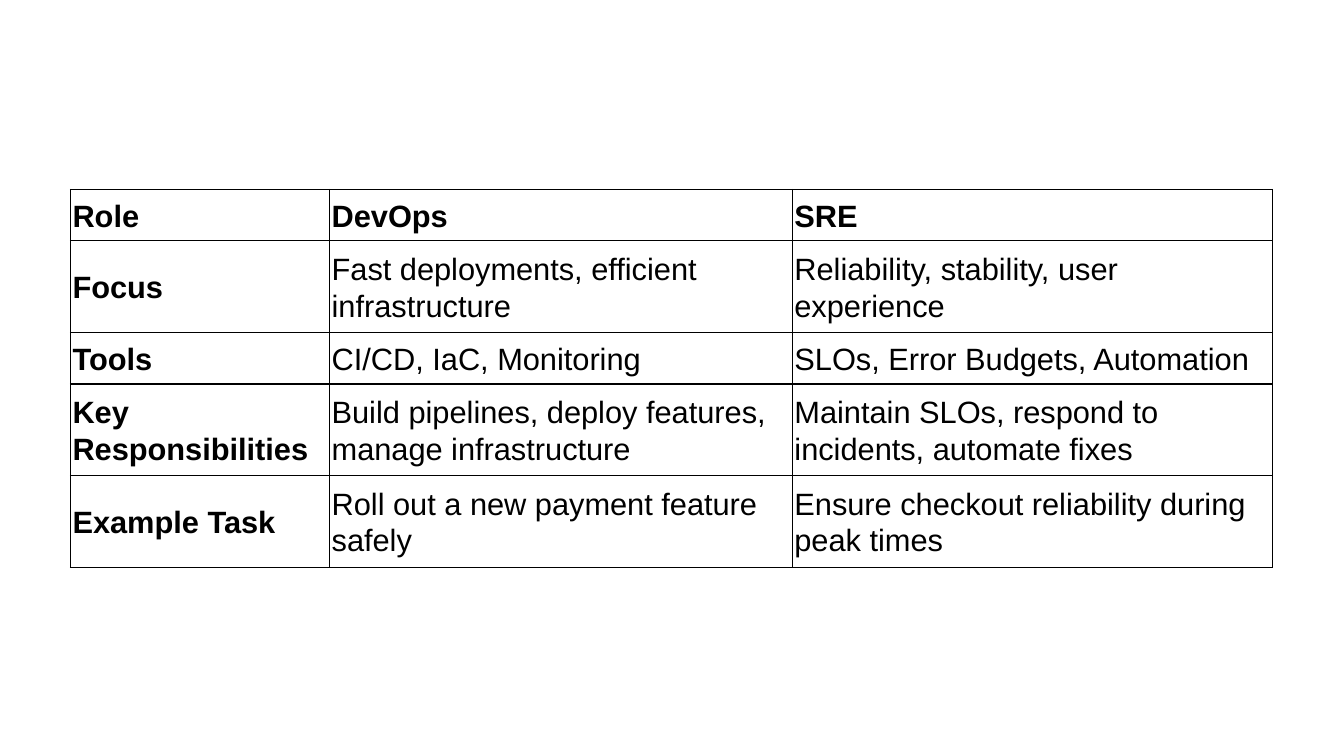
import lxml.etree
import pptx
import pptx.dml.color
import pptx.enum.text
import pptx.oxml.ns
import pptx.util

Inches = pptx.util.Inches
Pt = pptx.util.Pt

# Content
ROWS = [
    ("Role", "DevOps", "SRE"),
    ("Focus", "Fast deployments, efficient infrastructure",
     "Reliability, stability, user experience"),
    ("Tools", "CI/CD, IaC, Monitoring", "SLOs, Error Budgets, Automation"),
    ("Key Responsibilities", "Build pipelines, deploy features, manage infrastructure",
     "Maintain SLOs, respond to incidents, automate fixes"),
    ("Example Task", "Roll out a new payment feature safely",
     "Ensure checkout reliability during peak times"),
]

# Layout and style
COLORS = {"text": "000000", "border": "000000", "cell": "FFFFFF"}
LEFT, TOP = 0.7, 1.88
COLUMN_WIDTHS = [2.57, 4.59, 4.76]
ONE_LINE, TWO_LINES = 0.51, 0.91
ROW_HEIGHTS = [ONE_LINE, TWO_LINES, ONE_LINE, TWO_LINES, TWO_LINES]
CELL_MARGIN = Inches(0.02)
BORDER_WIDTH = Pt(1)


def add_borders(cell):
    """Draw a solid line on all four sides; lines come before the fill."""
    properties = cell._tc.get_or_add_tcPr()
    for position, side in enumerate(("lnL", "lnR", "lnT", "lnB")):
        line = lxml.etree.Element(pptx.oxml.ns.qn(f"a:{side}"), w=str(BORDER_WIDTH))
        fill = lxml.etree.SubElement(line, pptx.oxml.ns.qn("a:solidFill"))
        lxml.etree.SubElement(fill, pptx.oxml.ns.qn("a:srgbClr"), val=COLORS["border"])
        properties.insert(position, line)


def format_cell(cell, text, bold):
    cell.text = text
    cell.vertical_anchor = pptx.enum.text.MSO_ANCHOR.MIDDLE
    cell.margin_left = cell.margin_right = CELL_MARGIN
    cell.margin_top = cell.margin_bottom = CELL_MARGIN
    cell.fill.solid()
    cell.fill.fore_color.rgb = pptx.dml.color.RGBColor.from_string(COLORS["cell"])
    add_borders(cell)
    paragraph = cell.text_frame.paragraphs[0]
    paragraph.line_spacing = 1.07
    paragraph.space_after = Pt(8)
    paragraph.font.name = "Arial"
    paragraph.font.size = Pt(22)
    paragraph.font.bold = bold
    paragraph.font.color.rgb = pptx.dml.color.RGBColor.from_string(COLORS["text"])


def main():
    presentation = pptx.Presentation()
    presentation.slide_width = Inches(13.33)
    presentation.slide_height = Inches(7.5)
    slide = presentation.slides.add_slide(presentation.slide_layouts[6])

    # Comparison table
    table = slide.shapes.add_table(
        len(ROWS), len(COLUMN_WIDTHS), Inches(LEFT), Inches(TOP),
        Inches(sum(COLUMN_WIDTHS)), Inches(sum(ROW_HEIGHTS))).table
    table.horz_banding = False
    table.first_row = False
    for column, width in zip(table.columns, COLUMN_WIDTHS):
        column.width = Inches(width)
    for row, height in zip(table.rows, ROW_HEIGHTS):
        row.height = Inches(height)

    # Headings in the first row and column are bold
    for row_index, texts in enumerate(ROWS):
        for column_index, text in enumerate(texts):
            is_heading = row_index == 0 or column_index == 0
            format_cell(table.cell(row_index, column_index), text, is_heading)

    presentation.save("out.pptx")


if __name__ == "__main__":
    main()
